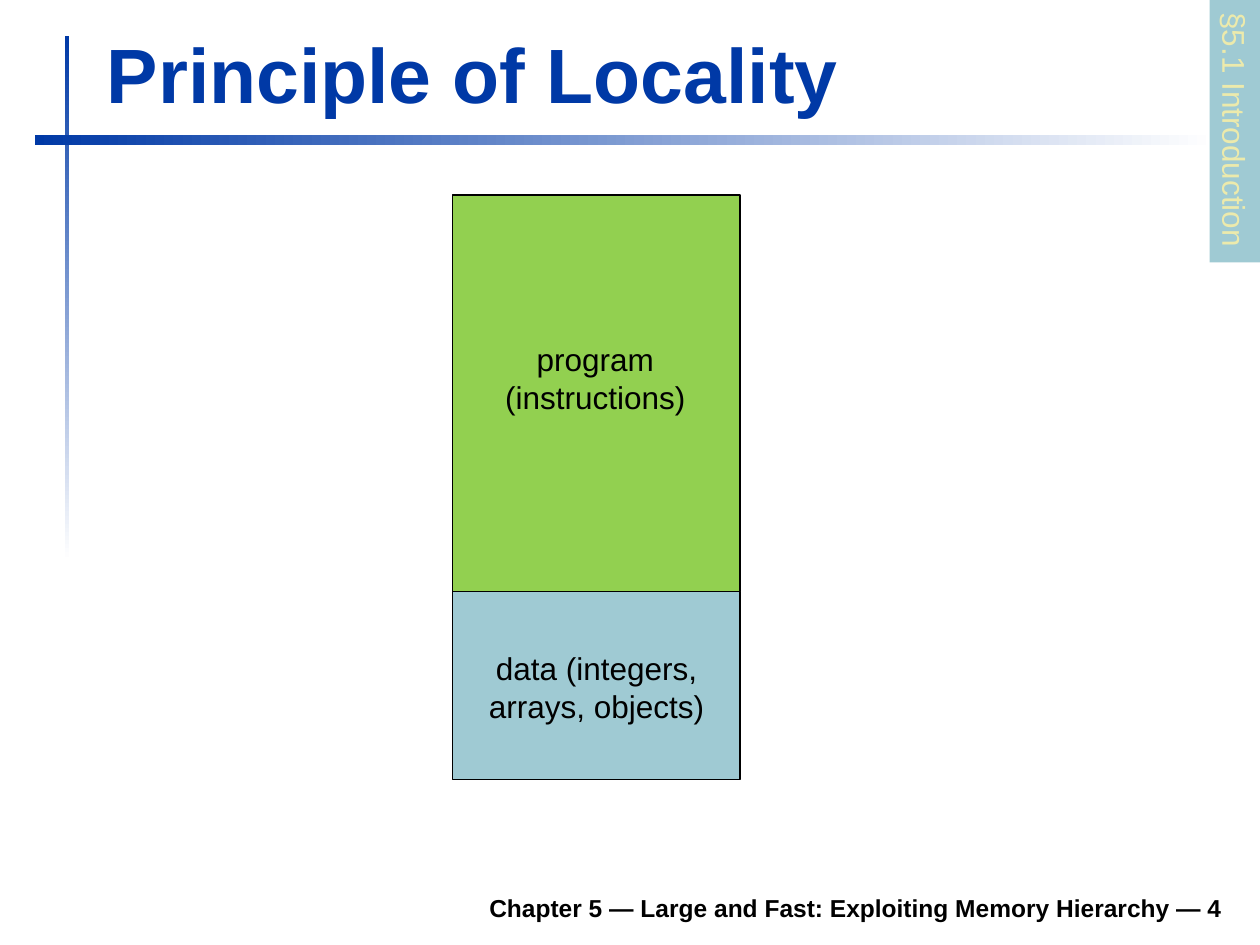
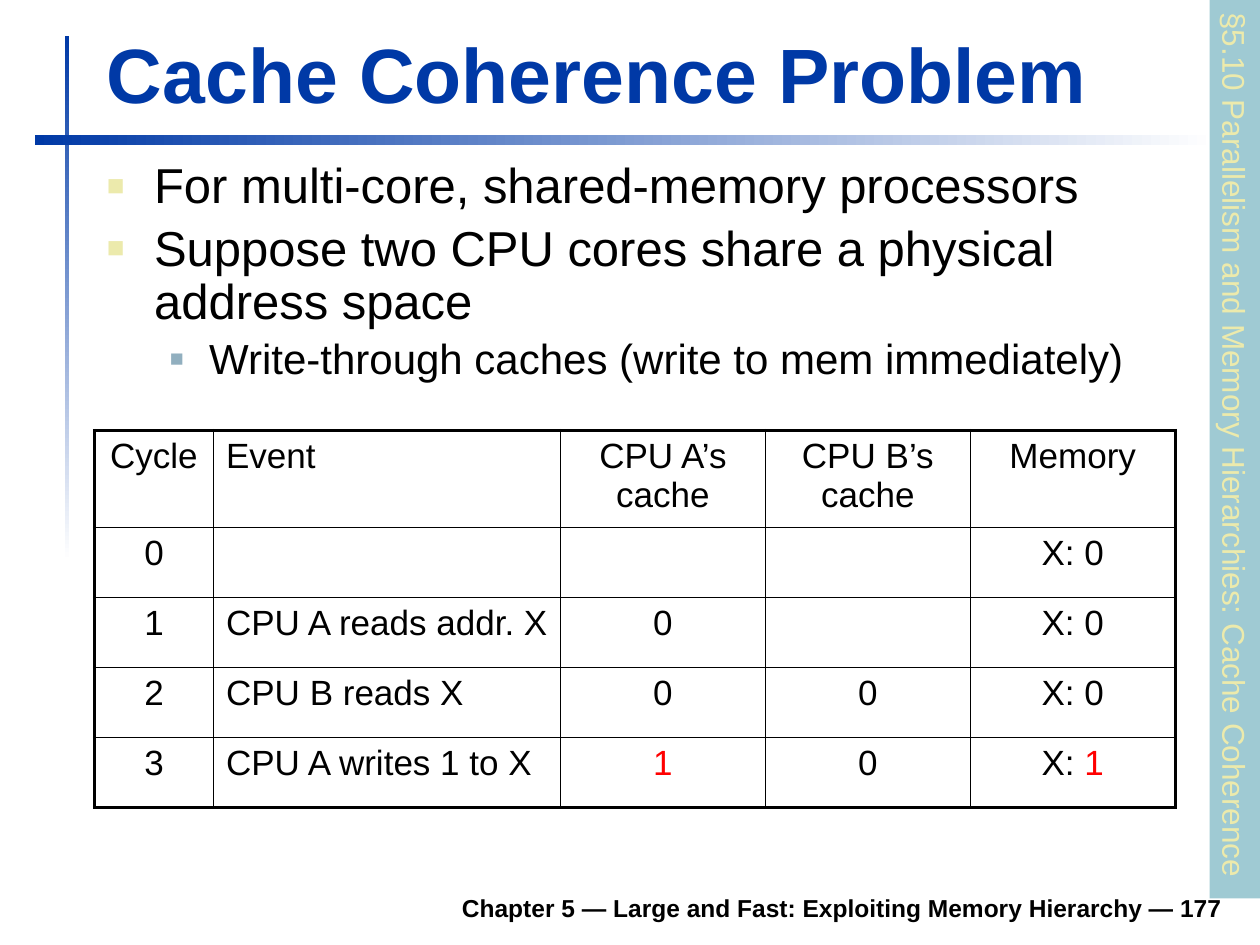
import pptx
import pptx.util
import pptx.dml.color
import pptx.enum.shapes
import pptx.enum.text
import pptx.oxml.ns
import lxml.etree

Pt = pptx.util.Pt
RGB = pptx.dml.color.RGBColor
ALIGN = pptx.enum.text.PP_ALIGN
ANCHOR = pptx.enum.text.MSO_ANCHOR
RECT = pptx.enum.shapes.MSO_SHAPE.RECTANGLE
qn = pptx.oxml.ns.qn

NAVY = RGB(0x00, 0x39, 0xA6)
WHITE = RGB(0xFF, 0xFF, 0xFF)
BLACK = RGB(0x00, 0x00, 0x00)
TEAL = RGB(0x9F, 0xCA, 0xD3)
CREAM = RGB(0xEC, 0xEA, 0xAC)
SLATE = RGB(0x91, 0xAF, 0xBF)
GREEN = RGB(0x92, 0xD0, 0x50)
RED = RGB(0xFF, 0x00, 0x00)
FONT = "Arial"


def write(para, words, size, color=BLACK, bold=False, align=ALIGN.LEFT):
    para.alignment = align
    run = para.add_run()
    run.text = words
    run.font.name = FONT
    run.font.size = Pt(size)
    run.font.bold = bold
    run.font.color.rgb = color


def add_box(slide, place, anchor=ANCHOR.TOP):
    frame = slide.shapes.add_textbox(*map(Pt, place)).text_frame
    frame.word_wrap = True
    frame.vertical_anchor = anchor
    return frame


deck = pptx.Presentation()
deck.slide_width, deck.slide_height = Pt(720), Pt(540)

# Shared parts: bands, footer, title and section tab
pages = [
    ("Principle of Locality", "4", "§5.1 Introduction", 150),
    ("Cache Coherence Problem", "177",
     "§5.10 Parallelism and Memory Hierarchies: Cache Coherence", 513.4),
]
bands = [((37, 20.4, 2.6, 300), 270), ((20, 77.2, 674.6, 5.6), 0)]
slides = []
for title, number, topic, length in pages:
    slide = deck.slides.add_slide(deck.slide_layouts[6])
    slides.append(slide)
    for place, angle in bands:
        band = slide.shapes.add_shape(RECT, *map(Pt, place))
        band.shadow.inherit = False
        band.line.fill.background()
        band.fill.gradient()
        band.fill.gradient_angle = angle
        for stop, color in zip(band.fill.gradient_stops, (NAVY, WHITE)):
            stop.color.rgb = color

    footer = add_box(slide, (133.2, 502.6, 572.4, 28), ANCHOR.BOTTOM)
    write(footer.paragraphs[0],
          f"Chapter 5 — Large and Fast: Exploiting Memory Hierarchy — {number}",
          14, bold=True, align=ALIGN.RIGHT)
    head = add_box(slide, (54, 11.5, 650, 59.8), ANCHOR.BOTTOM)
    write(head.paragraphs[0], title, 44, NAVY, bold=True)

    # The tab turns about its centre and hangs from the top right corner
    tab = slide.shapes.add_shape(RECT, Pt(705.6 - length / 2),
                                 Pt(length / 2 - 14.4), Pt(length), Pt(28.8))
    tab.rotation = 90
    tab.shadow.inherit = False
    tab.fill.solid()
    tab.fill.fore_color.rgb = TEAL
    tab.line.fill.background()
    tab.text_frame.word_wrap = False
    tab.text_frame.vertical_anchor = ANCHOR.TOP
    write(tab.text_frame.paragraphs[0], topic, 18, CREAM)

first, second = slides

# Slide 1: memory split into program and data
blocks = [
    ((258.5, 111.4, 164.4, 226.6), GREEN, (280.8, 190.8, 118.8, 51),
     ["program", "(instructions)"]),
    ((258.5, 338, 164.4, 107.6), TEAL, (270, 367.2, 141.8, 51),
     ["data (integers, arrays, objects)"]),
]
for place, color, spot, lines in blocks:
    block = first.shapes.add_shape(RECT, *map(Pt, place))
    block.shadow.inherit = False
    block.fill.solid()
    block.fill.fore_color.rgb = color
    block.line.color.rgb = BLACK
    block.line.width = Pt(0.75)
    label = add_box(first, spot)
    for i, line in enumerate(lines):
        para = label.add_paragraph() if i else label.paragraphs[0]
        write(para, line, 18, align=ALIGN.CENTER)

# Slide 2: bullets as (words, level)
points = [
    ("For multi-core, shared-memory processors", 0),
    ("Suppose two CPU cores share a physical address space", 0),
    ("Write-through caches (write to mem immediately)", 1),
]
# Size, left margin, indent, bullet colour and bullet percent by level
levels = [(28, 27, -27, CREAM, 60), (24, 58.5, -22.5, SLATE, 55)]
body = add_box(second, (54, 88.6, 607, 107.3))
for i, (words, level) in enumerate(points):
    size, margin, indent, color, share = levels[level]
    para = body.add_paragraph() if i else body.paragraphs[0]
    para.level = level
    props = para._p.get_or_add_pPr()
    props.set("marL", str(Pt(margin)))
    props.set("indent", str(Pt(indent)))
    tint = lxml.etree.SubElement(props, qn("a:buClr"))
    lxml.etree.SubElement(tint, qn("a:srgbClr"), val=str(color))
    lxml.etree.SubElement(props, qn("a:buSzPct"), val=str(share * 1000))
    lxml.etree.SubElement(props, qn("a:buFont"), typeface=FONT)
    lxml.etree.SubElement(props, qn("a:buChar"), char="■")
    para.line_spacing = 0.9
    if i:
        para.space_before = Pt(size * 0.2)
    write(para, words, size)

# Slide 2: table, each cell a list of runs, with changed values in red
rows = [
    ["Cycle", "Event", "CPU A’s cache", "CPU B’s cache", "Memory"],
    ["0", "", "", "", "X: 0"],
    ["1", "CPU A reads addr. X", "0", "", "X: 0"],
    ["2", "CPU B reads X", "0", "0", "X: 0"],
    ["3", "CPU A writes 1 to X", [("1", RED)], "0",
     [("X: ", BLACK), ("1", RED)]],
]
widths = [68, 198.3, 117.1, 117.1, 117.1]
heights = [55.4, 40, 40, 40, 40]
table = second.shapes.add_table(len(rows), len(widths), Pt(54), Pt(246),
                                Pt(sum(widths)), Pt(sum(heights))).table
table.first_row = table.horz_banding = False
for column, width in zip(table.columns, widths):
    column.width = Pt(width)
for row, height in zip(table.rows, heights):
    row.height = Pt(height)

for r, row in enumerate(rows):
    for c, value in enumerate(row):
        cell = table.cell(r, c)
        cell.fill.background()
        runs = [(value, BLACK)] if isinstance(value, str) else value
        align = ALIGN.LEFT if c == 1 else ALIGN.CENTER
        for words, color in runs:
            if words:
                write(cell.text_frame.paragraphs[0], words, 20, color,
                      align=align)

        # Thick outer frame, thin inner lines
        edges = [("a:lnL", c == 0), ("a:lnR", c == len(widths) - 1),
                 ("a:lnT", r == 0), ("a:lnB", r == len(rows) - 1)]
        props = cell._tc.get_or_add_tcPr()
        for i, (side, outer) in enumerate(edges):
            edge = lxml.etree.Element(qn(side), w=str(Pt(2.25 if outer else 1)))
            paint = lxml.etree.SubElement(edge, qn("a:solidFill"))
            lxml.etree.SubElement(paint, qn("a:srgbClr"), val=str(BLACK))
            props.insert(i, edge)

deck.save("out.pptx")
